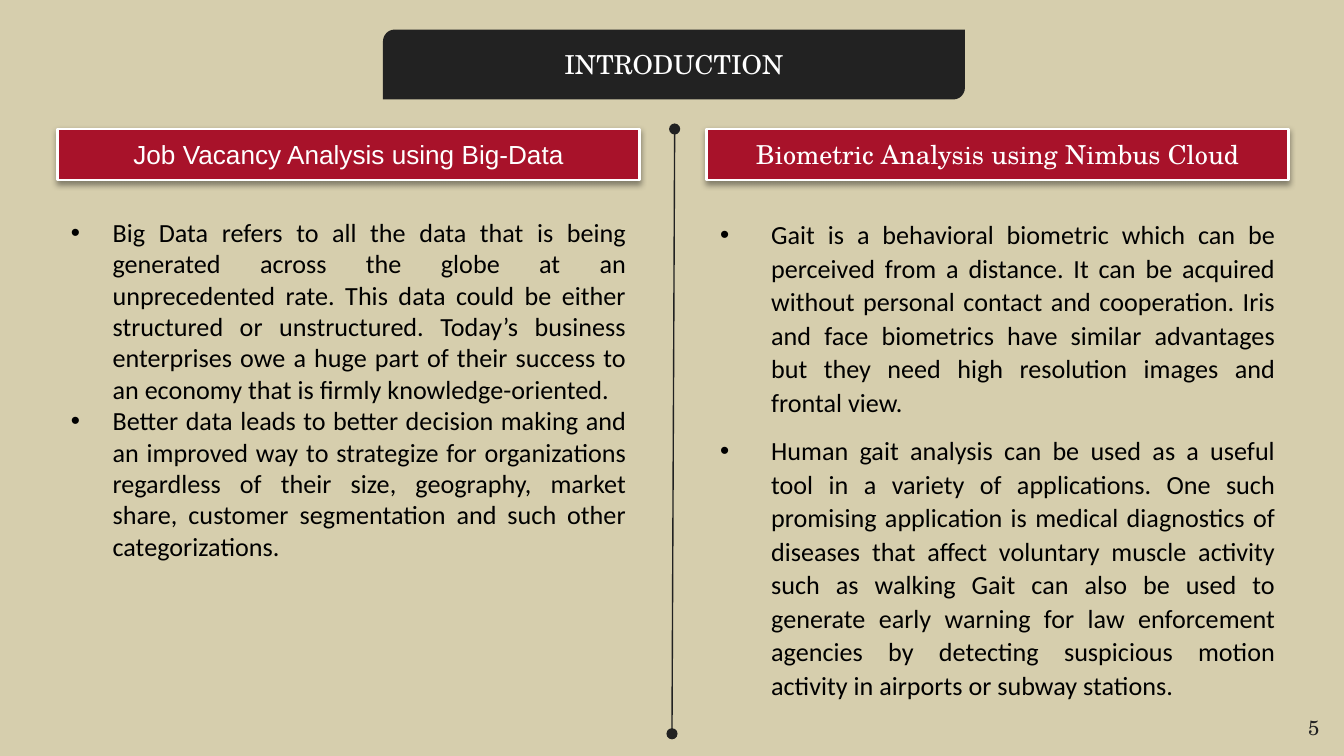
from dataclasses import dataclass

import lxml.etree
import pptx
import pptx.dml.color
import pptx.enum.shapes
import pptx.enum.text
import pptx.oxml
import pptx.oxml.ns
import pptx.util

Inches = pptx.util.Inches
Pt = pptx.util.Pt
qn = pptx.oxml.ns.qn
SHAPE = pptx.enum.shapes.MSO_SHAPE
ALIGN = pptx.enum.text.PP_ALIGN
ANCHOR = pptx.enum.text.MSO_ANCHOR


@dataclass(frozen=True)
class Theme:
    background: str = "D6CEAD"
    banner: str = "222222"
    heading: str = "A8122A"
    divider: str = "212121"
    light: str = "FFFFFF"
    body: str = "000000"
    serif: str = "TeX Gyre Schola"
    sans: str = "Arial"
    text: str = "Calibri"
    size: int = 14
    number_size: int = 11


THEME = Theme()


def rgb(value):
    return pptx.dml.color.RGBColor.from_string(value)


def add_node(parent, tag, **attrs):
    return lxml.etree.SubElement(parent, qn(tag), {k: str(v) for k, v in attrs.items()})


def set_bullet(p, indent):
    pPr = p._p.get_or_add_pPr()
    pPr.set("marL", str(Inches(indent)))
    pPr.set("indent", str(-Inches(indent)))
    add_node(add_node(pPr, "a:buClr"), "a:srgbClr", val=THEME.body)
    add_node(pPr, "a:buFont", typeface=THEME.sans)
    add_node(pPr, "a:buChar", char="•")


def write_text(sp, *paragraphs, font=THEME.serif, size=THEME.size, color=THEME.light,
               align=ALIGN.CENTER, anchor=ANCHOR.MIDDLE, inset=0.1,
               indent=None, spacing=None, gap=0):
    tf = sp.text_frame
    tf.word_wrap = True
    tf.vertical_anchor = anchor
    tf.margin_left = tf.margin_right = Inches(0.1)
    tf.margin_top = tf.margin_bottom = Inches(inset)
    for i, text in enumerate(paragraphs):
        p = tf.add_paragraph() if i else tf.paragraphs[0]
        p.alignment = align
        if spacing:
            p.line_spacing = spacing
        if i and gap:
            p.space_before = Pt(gap)
        if indent:
            set_bullet(p, indent)
        r = p.add_run()
        r.text = text
        r.font.name = font
        r.font.size = Pt(size)
        r.font.color.rgb = rgb(color)


def add_box(s, kind, box, fill):
    sp = s.shapes.add_shape(kind, *map(Inches, box))
    sp.shadow.inherit = False
    sp.fill.solid()
    sp.fill.fore_color.rgb = rgb(fill)
    sp.line.fill.background()
    return sp


def add_banner(s, box, text):
    sp = add_box(s, SHAPE.ROUND_2_DIAG_RECTANGLE, box, THEME.banner)
    sp.adjustments[0] = 0.167
    sp.adjustments[1] = 0
    write_text(sp, text)


def add_heading(s, box, text, font):
    sp = add_box(s, SHAPE.RECTANGLE, box, THEME.heading)
    sp.line.color.rgb = rgb(THEME.light)
    sp.line.width = Pt(1.5)
    effects = sp._element.spPr.find(qn("a:effectLst"))
    shadow = add_node(effects, "a:outerShdw", blurRad=Pt(3.1), dist=Pt(1.6),
                      dir=90 * 60000, rotWithShape=0)
    add_node(add_node(shadow, "a:srgbClr", val=THEME.body), "a:alpha", val=38000)
    write_text(sp, text, font=font)


def add_column(s, box, heading, points, heading_font, **text_format):
    left, top, width, height = box
    add_heading(s, (left, top, width, 0.38), heading, heading_font)
    sp = s.shapes.add_textbox(*map(Inches, (left, top + 0.6, width, height - 0.6)))
    write_text(sp, *points, font=THEME.text, color=THEME.body, align=ALIGN.JUSTIFY,
               anchor=ANCHOR.TOP, inset=0.05, **text_format)


def add_divider(s, box):
    left, top, width, height = box
    line = s.shapes.add_connector(
        pptx.enum.shapes.MSO_CONNECTOR.STRAIGHT,
        *map(Inches, (left + width, top, left, top + height)))
    line.line.color.rgb = rgb(THEME.divider)
    line.line.width = Pt(0.75)
    ln = line.line._get_or_add_ln()
    add_node(ln, "a:headEnd", type="oval")
    add_node(ln, "a:tailEnd", type="oval")
    add_node(line._element.spPr, "a:effectLst")


def add_number(s, box, text):
    sp = s.shapes.add_textbox(*map(Inches, box))
    write_text(sp, text, size=THEME.number_size, color=THEME.banner, anchor=ANCHOR.TOP)


BIG_DATA = (
    "Big Data refers to all the data that is being generated across the globe at an "
    "unprecedented rate. This data could be either structured or unstructured. Today’s "
    "business enterprises owe a huge part of their success to an economy that is firmly "
    "knowledge-oriented.",
    "Better data leads to better decision making and an improved way to strategize for "
    "organizations regardless of their size, geography, market share, customer "
    "segmentation and such other categorizations.",
)
BIOMETRICS = (
    "Gait is a behavioral biometric which can be perceived from a distance. It can be "
    "acquired without personal contact and cooperation. Iris and face biometrics have "
    "similar advantages but they need high resolution images and frontal view.",
    "Human gait analysis can be used as a useful tool in a variety of applications. One "
    "such promising application is medical diagnostics of diseases that affect voluntary "
    "muscle activity such as walking Gait can also be used to generate early warning for "
    "law enforcement agencies by detecting suspicious motion activity in airports or "
    "subway stations.",
)


def main():
    prs = pptx.Presentation()
    prs.slide_width = Inches(10)
    prs.slide_height = prs.slide_width * 9 // 16
    s = prs.slides.add_slide(prs.slide_layouts[6])
    s.background.fill.solid()
    s.background.fill.fore_color.rgb = rgb(THEME.background)

    add_banner(s, (2.85, 0.22, 4.33, 0.52), "INTRODUCTION")
    add_column(s, (0.43, 0.96, 4.33, 3.29), "Job Vacancy Analysis using Big-Data",
               BIG_DATA, THEME.sans, indent=0.31)
    add_divider(s, (5, 0.96, 0.02, 4.5))
    add_column(s, (5.26, 0.96, 4.33, 4.33), "Biometric Analysis using Nimbus Cloud",
               BIOMETRICS, THEME.serif, indent=0.38, spacing=1.07, gap=8)
    add_number(s, (9.57, 5.23, 0.41, 0.33), "5")
    prs.save("out.pptx")


if __name__ == "__main__":
    main()
